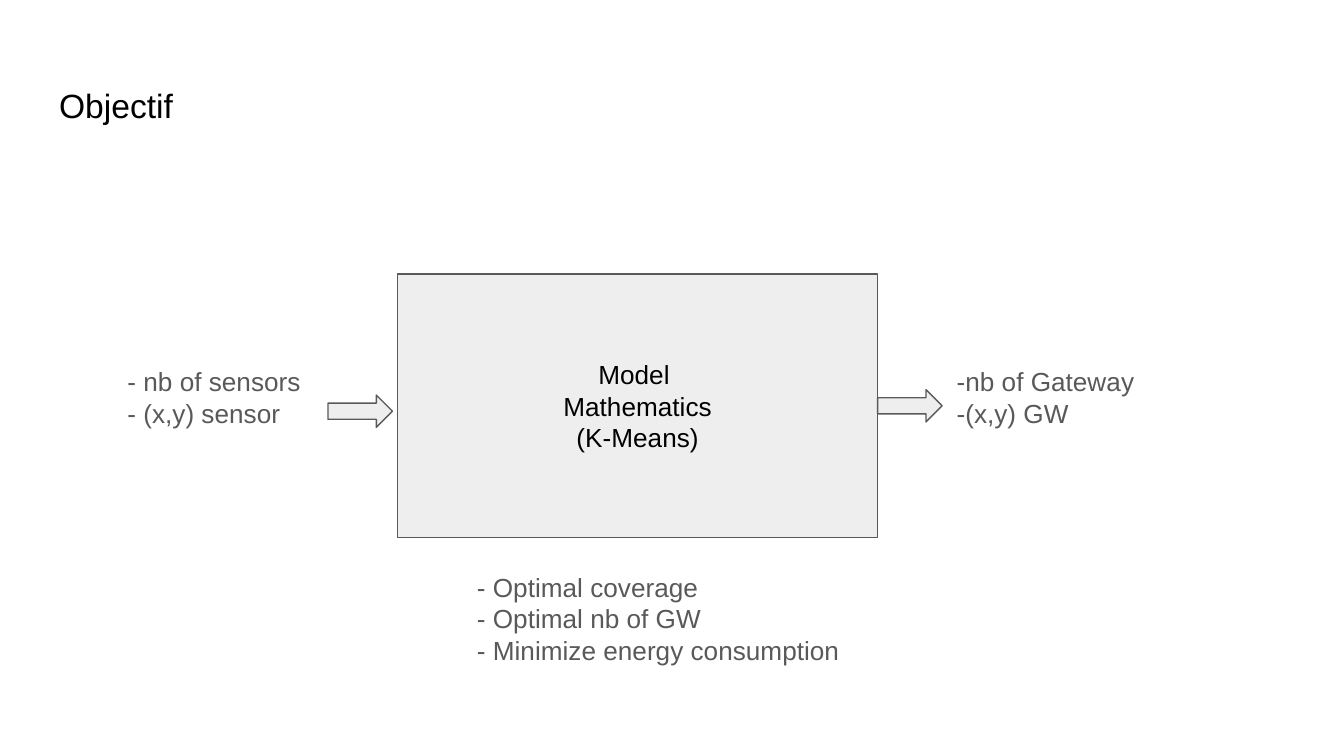
from pptx import Presentation
from pptx.dml.color import RGBColor
from pptx.enum import shapes, text
from pptx.util import Inches, Pt

COLORS = {"ink": "000000", "grey": "595959", "panel": "EEEEEE"}
FONT = "Arial"
SLIDE_WIDTH = Inches(10)
SLIDE_HEIGHT = SLIDE_WIDTH * 9 // 16


def color(name):
    return RGBColor.from_string(COLORS[name])


def write(frame, lines, size, ink, align=text.PP_ALIGN.LEFT,
          anchor=text.MSO_ANCHOR.TOP):
    """Fill a text frame with one paragraph per line."""
    frame.word_wrap = True
    frame.auto_size = text.MSO_AUTO_SIZE.NONE
    frame.vertical_anchor = anchor
    frame.margin_left = frame.margin_right = Inches(0.1)
    frame.margin_top = frame.margin_bottom = Inches(0.1)
    frame.text = "\n".join(lines)
    for paragraph in frame.paragraphs:
        paragraph.alignment = align
        paragraph.font.name = FONT
        paragraph.font.size = Pt(size)
        paragraph.font.color.rgb = color(ink)


def set_title(slide, wording):
    title = slide.shapes.title
    title.left, title.top = Inches(0.34), Inches(0.49)
    title.width, title.height = Inches(9.32), Inches(0.63)
    write(title.text_frame, [wording], 18, "ink")
    heading = title.text_frame.paragraphs[0]
    heading.line_spacing = 1.15
    heading.space_after = Pt(12)


def add_block(slide, preset, left, top, width, height):
    block = slide.shapes.add_shape(
        preset, Inches(left), Inches(top), Inches(width), Inches(height))
    block.shadow.inherit = False
    block.fill.solid()
    block.fill.fore_color.rgb = color("panel")
    block.line.color.rgb = color("grey")
    block.line.width = Pt(0.75)
    return block


def add_flow_arrow(slide, left, top):
    add_block(slide, shapes.MSO_SHAPE.RIGHT_ARROW, left, top, 0.48, 0.24)


def add_dash_list(slide, lines, left, top, width, height):
    box = slide.shapes.add_textbox(
        Inches(left), Inches(top), Inches(width), Inches(height))
    write(box.text_frame, lines, 14, "grey")


def main():
    deck = Presentation()
    deck.slide_width, deck.slide_height = SLIDE_WIDTH, SLIDE_HEIGHT
    slide = deck.slides.add_slide(deck.slide_layouts.get_by_name("Title Only"))

    set_title(slide, "Objectif")

    model = add_block(slide, shapes.MSO_SHAPE.RECTANGLE, 2.96, 2.04, 3.57, 1.96)
    write(model.text_frame, ["Model ", "Mathematics", "(K-Means)"], 14, "ink",
          text.PP_ALIGN.CENTER, text.MSO_ANCHOR.MIDDLE)

    add_flow_arrow(slide, 2.44, 2.94)
    add_flow_arrow(slide, 6.53, 2.9)

    add_dash_list(slide, ["- nb of sensors", "- (x,y) sensor"],
                  0.85, 2.62, 1.68, 2.82)
    add_dash_list(slide, ["-nb of Gateway", "-(x,y) GW"],
                  7.02, 2.62, 1.83, 1.68)
    add_dash_list(slide, ["- Optimal coverage", "- Optimal nb of GW",
                          "- Minimize energy consumption"],
                  3.45, 4.15, 3.08, 1.33)

    deck.save("out.pptx")


if __name__ == "__main__":
    main()
